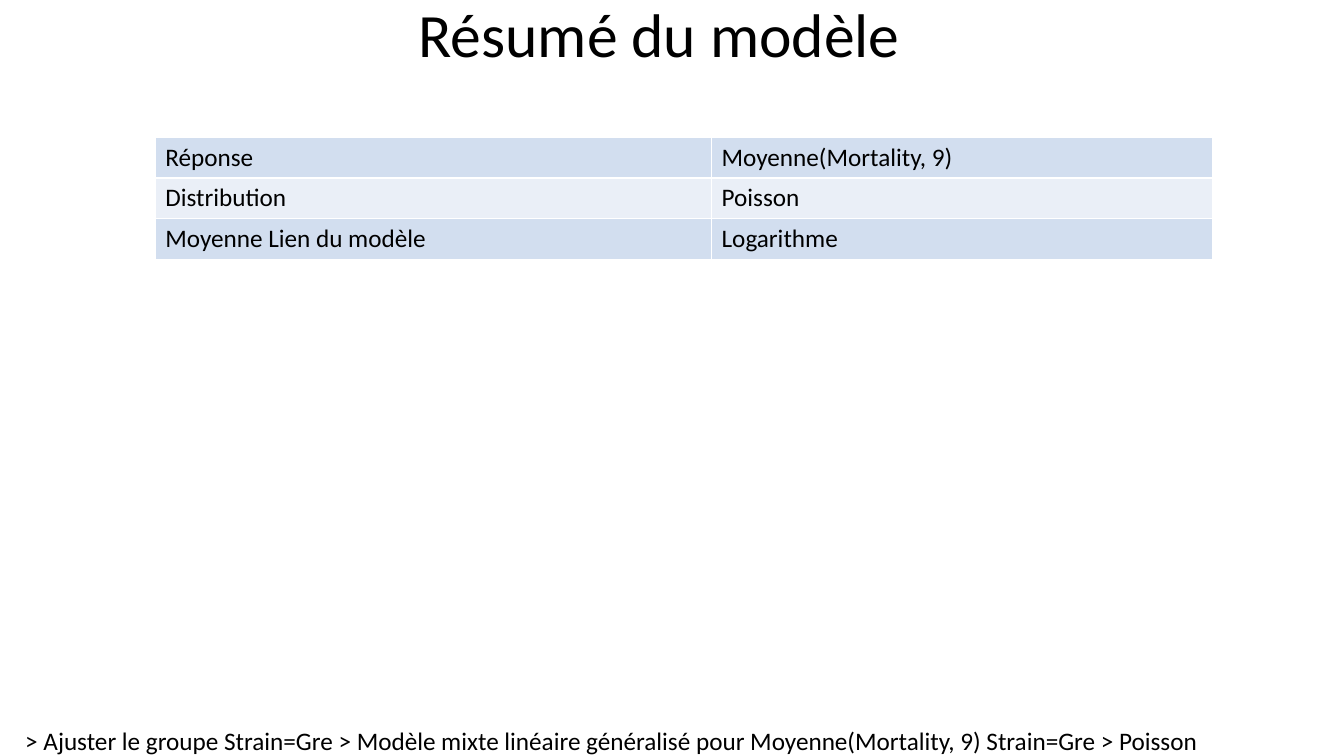
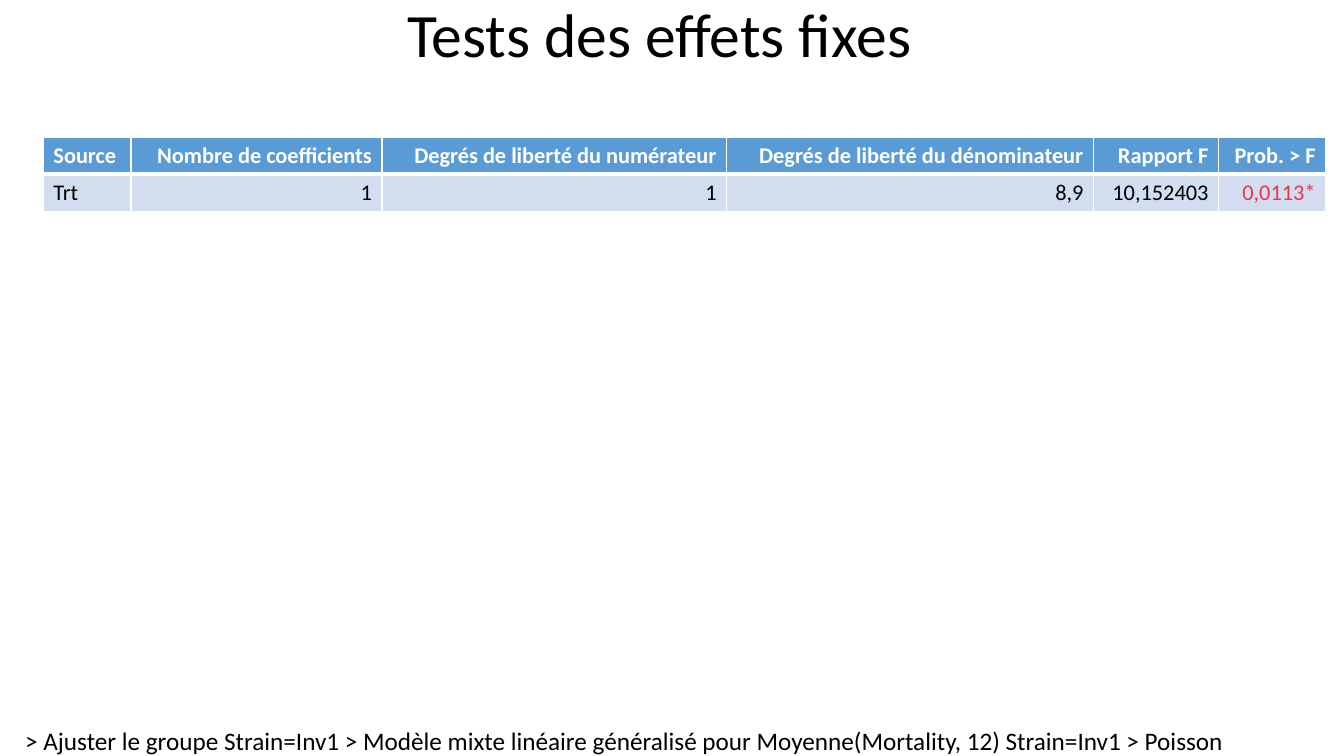
from dataclasses import dataclass

from lxml import etree
from pptx import Presentation
from pptx.dml.color import RGBColor
from pptx.enum.text import MSO_ANCHOR, MSO_AUTO_SIZE, PP_ALIGN
from pptx.oxml.ns import qn
from pptx.util import Pt

MID = MSO_ANCHOR.MIDDLE
NOFIT = MSO_AUTO_SIZE.NONE
LEFT, RIGHT, CENTER = PP_ALIGN.LEFT, PP_ALIGN.RIGHT, PP_ALIGN.CENTER


@dataclass(frozen=True)
class Theme:
    font: str = "Calibri"
    black: str = "000000"
    white: str = "FFFFFF"
    head: str = "5B9BD5"
    bands: tuple = ("D2DEEF", "EAEFF7")
    alert: str = "F03246"
    title: int = 44
    body: int = 18
    small: int = 16
    thin: int = 1
    thick: int = 3


theme = Theme()


def write(para, text, size, color=theme.black, bold=False, align=LEFT):
    para.alignment = align
    run = para.add_run()
    run.text = text
    run.font.name = theme.font
    run.font.size = Pt(size)
    run.font.bold = bold
    run.font.color.rgb = RGBColor.from_string(color)


def edge(cell, side, width):
    line = etree.SubElement(cell._tc.get_or_add_tcPr(), qn(f"a:ln{side}"), w=str(Pt(width)))
    fill = etree.SubElement(line, qn("a:solidFill"))
    etree.SubElement(fill, qn("a:srgbClr"), val=theme.white)


pages = [
    {
        "title": "Résumé du modèle",
        "note": "> Ajuster le groupe Strain=Gre > Modèle mixte linéaire généralisé "
                "pour Moyenne(Mortality, 9) Strain=Gre > Poisson",
        "note_wide": 843,
        "left": 110.9,
        "cols": [397.4, 357.8],
        "high": 29.1,
        "size": theme.body,
        "head": False,
        "rows": [
            ["Réponse", "Moyenne(Mortality, 9)"],
            ["Distribution", "Poisson"],
            ["Moyenne Lien du modèle", "Logarithme"],
        ],
    },
    {
        "title": "Tests des effets fixes",
        "note": "> Ajuster le groupe Strain=Inv1 > Modèle mixte linéaire généralisé "
                "pour Moyenne(Mortality, 12) Strain=Inv1 > Poisson",
        "note_wide": 861,
        "left": 31,
        "cols": [62.6, 179.3, 246.2, 262.1, 89.3, 76.5],
        "high": 26.4,
        "size": theme.small,
        "head": True,
        "rows": [
            ["Source", "Nombre de coefficients", "Degrés de liberté du numérateur",
             "Degrés de liberté du dénominateur", "Rapport F", "Prob. > F"],
            ["Trt", "1", "1", "8,9", "10,152403", "0,0113*"],
        ],
    },
]

deck = Presentation()
deck.slide_width, deck.slide_height = Pt(960), Pt(540)

for page in pages:
    slide = deck.slides.add_slide(deck.slide_layouts[5])

    title = slide.shapes.title
    title.left, title.top, title.width, title.height = Pt(0), Pt(0), Pt(942), Pt(54)
    frame = title.text_frame
    frame.auto_size = NOFIT
    frame.vertical_anchor = MID
    frame.paragraphs[0].line_spacing = 0.9
    write(frame.paragraphs[0], page["title"], theme.title, align=CENTER)

    note = slide.shapes.add_textbox(Pt(18), Pt(517.8), Pt(page["note_wide"]), Pt(22))
    frame = note.text_frame
    frame.word_wrap = False
    frame.margin_left = frame.margin_top = frame.margin_right = frame.margin_bottom = 0
    write(frame.paragraphs[0], page["note"], theme.body)

    rows, cols, high = page["rows"], page["cols"], page["high"]
    table = slide.shapes.add_table(
        len(rows), len(cols), Pt(page["left"]), Pt(98), Pt(sum(cols)), Pt(high * len(rows))
    ).table
    table.first_row = page["head"]
    table.horz_banding = False
    for col, wide in zip(table.columns, cols):
        col.width = Pt(wide)

    for r, row in enumerate(rows):
        table.rows[r].height = Pt(high)
        head = page["head"] and r == 0
        below = page["head"] and r == 1
        for c, text in enumerate(row):
            cell = table.cell(r, c)
            edge(cell, "L", theme.thin)
            edge(cell, "R", theme.thin)
            edge(cell, "T", theme.thick if below else theme.thin)
            edge(cell, "B", theme.thick if head else theme.thin)
            band = theme.bands[(r - page["head"]) % 2]
            cell.fill.solid()
            cell.fill.fore_color.rgb = RGBColor.from_string(theme.head if head else band)
            color = theme.white if head else theme.alert if text.endswith("*") else theme.black
            align = RIGHT if page["head"] and c else LEFT
            write(cell.text_frame.paragraphs[0], text, page["size"], color, head, align)

deck.save("out.pptx")
